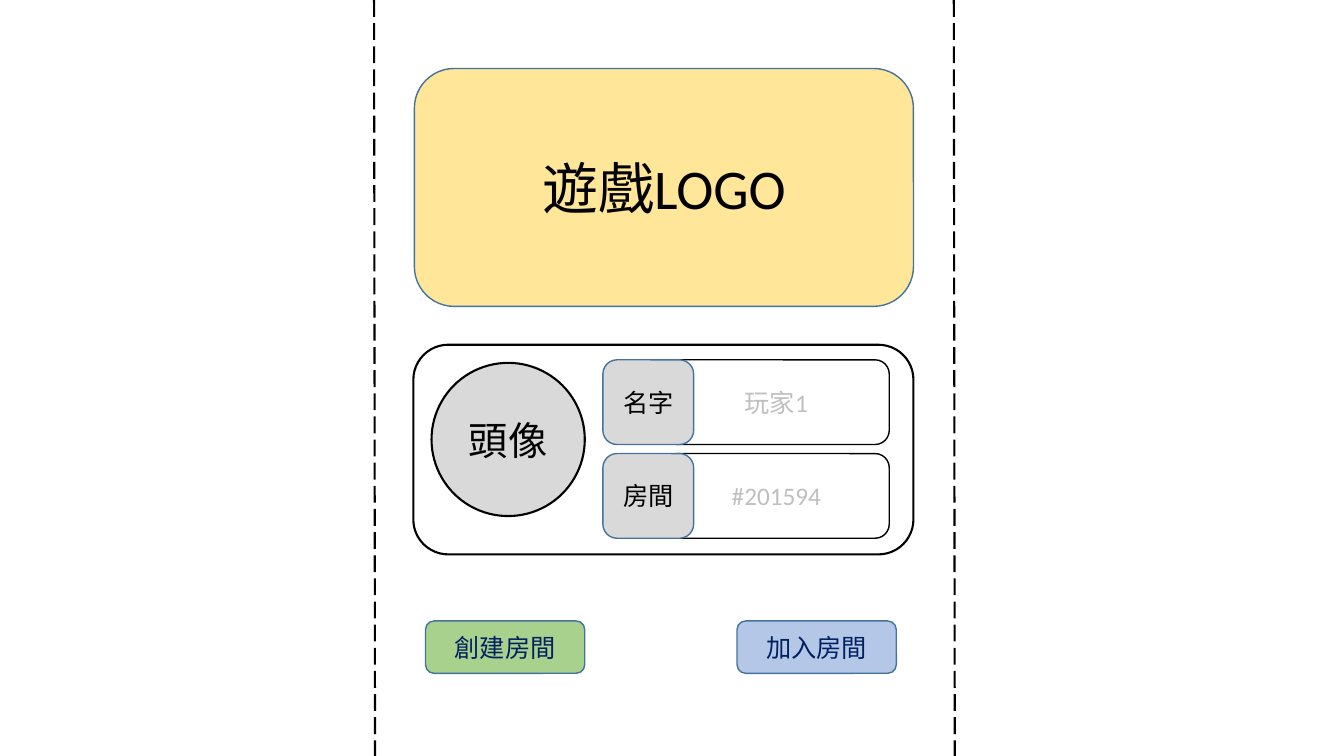
from dataclasses import dataclass

from lxml import etree
from pptx import Presentation
from pptx import util as u
from pptx.dml.color import RGBColor
from pptx.enum import dml, shapes, text
from pptx.oxml.ns import qn


@dataclass(frozen=True)
class Theme:
    """Colours, fonts, type sizes and line widths of the wireframe."""
    black: str = "000000"
    white: str = "FFFFFF"
    outline: str = "43739E"
    gold: str = "FFE699"
    grey: str = "D9D9D9"
    hint: str = "BFBFBF"
    green: str = "A9D18E"
    blue: str = "B4C7E7"
    navy: str = "002060"
    body_font: str = "Calibri"
    button_font: str = "Arial"
    title: int = 40
    avatar: int = 28
    label: int = 18
    thin: float = 1
    thick: float = 1.5


class Wireframe:
    """Draws wireframe elements on one slide in one theme."""

    def __init__(self, slide, theme):
        """Keep the slide and the theme."""
        self.slide = slide
        self.theme = theme

    def box(self, place, fill, line, width, kind=shapes.MSO_SHAPE.ROUNDED_RECTANGLE):
        """Add a filled and outlined shape."""
        box = self.slide.shapes.add_shape(kind, *map(u.Inches, place))
        box.shadow.inherit = False
        box.fill.solid()
        box.fill.fore_color.rgb = RGBColor.from_string(fill)
        box.line.color.rgb = RGBColor.from_string(line)
        box.line.width = u.Pt(width)
        return box

    def caption(self, box, words, size, color, font=None):
        """Centre a caption in a shape."""
        frame = box.text_frame
        frame.text = words
        frame.word_wrap = True
        frame.vertical_anchor = text.MSO_ANCHOR.MIDDLE
        paragraph = frame.paragraphs[0]
        paragraph.alignment = text.PP_ALIGN.CENTER
        for run in paragraph.runs:
            run.font.size = u.Pt(size)
            run.font.name = font or self.theme.body_font
            run.font.color.rgb = RGBColor.from_string(color)

    def banner(self, place, words):
        """Add the title banner."""
        t = self.theme
        self.caption(self.box(place, t.gold, t.outline, t.thin), words, t.title, t.black)

    def panel(self, place):
        """Add the empty player panel."""
        t = self.theme
        self.box(place, t.white, t.black, t.thick)

    def avatar(self, place, words):
        """Add the round avatar."""
        t = self.theme
        circle = self.box(place, t.grey, t.black, t.thick, shapes.MSO_SHAPE.OVAL)
        self.caption(circle, words, t.avatar, t.black)

    def field(self, top, label, hint):
        """Add an input field with its label tab."""
        t = self.theme
        entry = self.box((6.58, top, 2.24, 0.84), t.white, t.black, t.thin)
        self.caption(entry, hint, t.label, t.hint)
        tab = self.box((5.98, top, 0.9, 0.84), t.grey, t.outline, t.thin)
        self.caption(tab, label, t.label, t.black)

    def button(self, left, words, fill):
        """Add a button in the bottom row."""
        t = self.theme
        button = self.box((left, 6.16, 1.58, 0.52), fill, t.outline, t.thin)
        self.caption(button, words, t.label, t.navy, t.button_font)

    def edge(self, left):
        """Add a dashed screen edge over the full height."""
        edge = self.slide.shapes.add_connector(
            shapes.MSO_CONNECTOR.STRAIGHT,
            *map(u.Inches, (left, 0, left + 0.01, 7.5)))
        edge.line.color.rgb = RGBColor.from_string(self.theme.black)
        edge.line.width = u.Pt(self.theme.thick)
        edge.line.dash_style = dml.MSO_LINE.LONG_DASH
        etree.SubElement(edge._element.spPr, qn("a:effectLst"))


def main():
    """Build the lobby screen and save it."""
    deck = Presentation()
    deck.slide_width, deck.slide_height = u.Inches(13.33), u.Inches(7.5)
    theme = Theme()
    lobby = Wireframe(deck.slides.add_slide(deck.slide_layouts[6]), theme)

    lobby.panel((4.1, 3.42, 4.96, 2.08))
    lobby.avatar((4.28, 3.6, 1.52, 1.52), "頭像")
    lobby.banner((4.11, 0.68, 4.95, 2.36), "遊戲LOGO")
    for top, label, hint in ((3.57, "名字", "玩家1"), (4.5, "房間", "#201594")):
        lobby.field(top, label, hint)
    for left, words, fill in ((4.22, "創建房間", theme.green), (7.31, "加入房間", theme.blue)):
        lobby.button(left, words, fill)
    for left in (3.71, 9.46):
        lobby.edge(left)

    deck.save("out.pptx")


if __name__ == "__main__":
    main()
